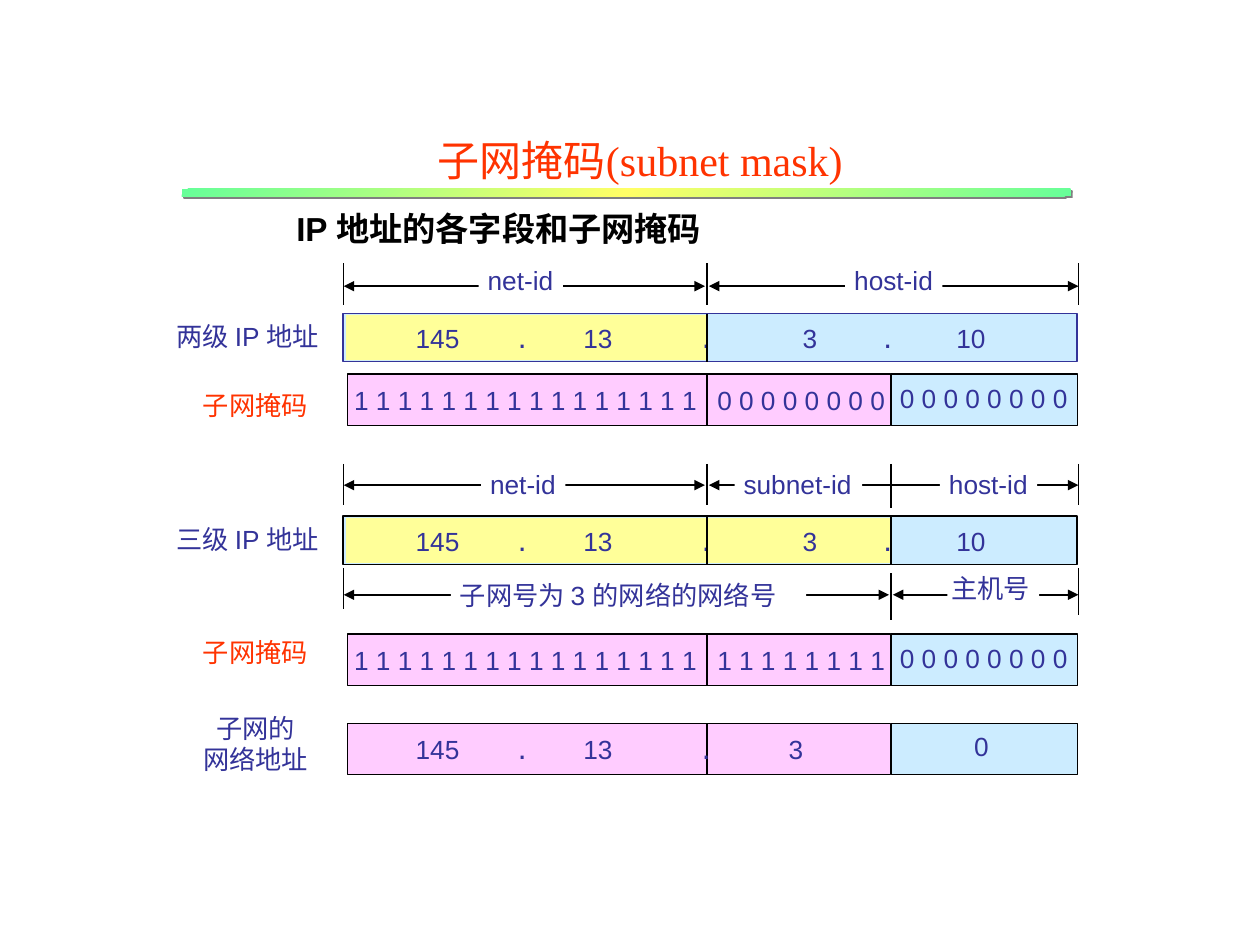
"""Build a slide on the fields of an IP address and its subnet mask."""
from copy import deepcopy
from typing import NamedTuple, Optional

from lxml.etree import SubElement as Sub
from pptx import Presentation
from pptx.dml.color import RGBColor
from pptx.enum.shapes import MSO_CONNECTOR as Conn, MSO_SHAPE as Kind
from pptx.enum.text import MSO_ANCHOR as Anchor, MSO_AUTO_SIZE as Auto, PP_ALIGN as Align
from pptx.oxml.ns import qn
from pptx.util import Cm, Pt

BLACK = RGBColor(0x00, 0x00, 0x00)
WHITE = RGBColor(0xFF, 0xFF, 0xFF)
NAVY = RGBColor(0x33, 0x33, 0x99)
RED = RGBColor(0xFF, 0x33, 0x00)
SKY = RGBColor(0xCC, 0xEC, 0xFF)
LEMON = RGBColor(0xFF, 0xFF, 0x99)
PINK = RGBColor(0xFF, 0xCC, 0xFF)
GREEN = RGBColor(0x66, 0xFF, 0x99)
YELLOW = RGBColor(0xFF, 0xFF, 0x66)

START, MID, SPLIT, END = 6.93, 14.25, 17.96, 21.74
ONES = " ".join("1" * 8)
ZEROS = " ".join("0" * 8)
NET = "145\t.\t13\t."
HOST = "3\t.\t10"
NET_TABS = (2.06, 3.38, 5.77, 7.52)
HOST_TABS = (1.63, 3.1)
MASK_TABS = (7.32,)


class Box(NamedTuple):
    left: float
    top: float
    width: float
    height: float


class Line(NamedTuple):
    x1: float
    y1: float
    x2: float
    y2: float
    weight: float = 0.75
    arrow: bool = False


class Note(NamedTuple):
    text: str
    box: Box
    fill: Optional[RGBColor] = None
    color: RGBColor = NAVY
    align: Align = Align.LEFT
    tabs: tuple = ()


def write(frame, text: str, *, size=15, font="Arial", color=NAVY, bold=False,
          align=Align.LEFT, tabs=()) -> None:
    """Fill a text frame; tabs and dots are set larger than the digits."""
    for row, words in enumerate(text.split("\n")):
        para = frame.add_paragraph() if row else frame.paragraphs[0]
        para.alignment = align
        if tabs:
            stops = Sub(para._p.get_or_add_pPr(), qn("a:tabLst"))
            for stop in tabs:
                Sub(stops, qn("a:tab"), pos=str(Cm(stop)), algn="l")
        for part in words.replace("\t", "|\t|").split("|"):
            run = para.add_run()
            run.text = part
            run.font.size = Pt(18 if part in ("\t", ".") else size)
            run.font.name = font
            run.font.bold = bold
            run.font.color.rgb = color


def block(shapes, box: Box, fill: RGBColor, line: Optional[RGBColor] = None,
          weight: float = 0.75):
    """Draw a plain rectangle."""
    rect = shapes.add_shape(Kind.RECTANGLE, *map(Cm, box))
    rect.shadow.inherit = False
    rect.fill.solid()
    rect.fill.fore_color.rgb = fill
    if line is None:
        rect.line.fill.background()
    else:
        rect.line.color.rgb = line
        rect.line.width = Pt(weight)
    return rect


def stroke(shapes, line: Line) -> None:
    """Draw a straight line, with arrowheads at both ends if asked."""
    conn = shapes.add_connector(Conn.STRAIGHT, *map(Cm, line[:4]))
    conn.line.color.rgb = BLACK
    conn.line.width = Pt(line.weight)
    if line.arrow:
        for end in ("a:headEnd", "a:tailEnd"):
            Sub(conn.line._get_or_add_ln(), qn(end), type="triangle")
    Sub(conn._element.spPr, qn("a:effectLst"))


def label(shapes, note: Note) -> None:
    """Place a small text box."""
    box = shapes.add_textbox(*map(Cm, note.box))
    frame = box.text_frame
    frame.word_wrap = bool(note.tabs)
    frame.auto_size = Auto.SHAPE_TO_FIT_TEXT
    frame.margin_left = frame.margin_right = Cm(0.18)
    frame.margin_top = frame.margin_bottom = Cm(0.1)
    if note.fill is not None:
        box.fill.solid()
        box.fill.fore_color.rgb = note.fill
    write(frame, note.text, color=note.color, align=note.align, tabs=note.tabs)


def banner(shapes) -> None:
    """Draw the shaded bar under the heading."""
    bar = block(shapes, Box(3.66, 3.81, 17.93, 0.15), GREEN)
    bar.fill.gradient()
    bar.fill.gradient_angle = 315
    stops = bar._element.spPr.find(qn("a:gradFill")).find(qn("a:gsLst"))
    stops.append(deepcopy(stops[0]))
    for stop, tint, pos in zip(bar.fill.gradient_stops, (GREEN, YELLOW, GREEN), (0, 0.5, 1)):
        stop.color.rgb = tint
        stop.position = pos
    glow = bar._element.spPr.find(qn("a:effectLst"))
    shade = Sub(glow, qn("a:outerShdw"), dist=str(Pt(1.4)), dir="2700000", algn="ctr")
    Sub(shade, qn("a:srgbClr"), val="808080")


def strip(shapes, top: float) -> None:
    """Draw a pink and blue row with its divider."""
    block(shapes, Box(SPLIT, top, 3.76, 1.04), SKY, BLACK)
    block(shapes, Box(7, top, SPLIT - 7, 1.04), PINK, BLACK)
    stroke(shapes, Line(MID, top, MID, top + 1.04, 1))


def main() -> None:
    """Build and save the slide."""
    deck = Presentation()
    deck.slide_width, deck.slide_height = Cm(25.4), Cm(19.05)
    slide = deck.slides.add_slide(deck.slide_layouts[5])
    shapes = slide.shapes

    title = shapes.title
    title.left, title.top, title.width, title.height = map(Cm, (4.19, 4.11, 11.73, 0.97))
    title.text_frame.auto_size = Auto.NONE
    title.text_frame.vertical_anchor = Anchor.MIDDLE
    write(title.text_frame, "IP 地址的各字段和子网掩码", size=19, color=BLACK, bold=True,
          align=Align.CENTER)

    head = shapes.add_textbox(*map(Cm, (5.05, 2.39, 15.72, 1.65))).text_frame
    head.word_wrap = True
    head.vertical_anchor = Anchor.MIDDLE
    write(head, "子网掩码(subnet mask)", size=24, font="Times New Roman", color=RED,
          align=Align.CENTER)
    banner(shapes)

    for top, edge, width in ((6.32, NAVY, 7.26), (10.41, BLACK, 10.97)):
        block(shapes, Box(6.91, top, 14.81, 0.97), SKY, edge, 1)
        block(shapes, Box(6.98, top + 0.03, width, 0.91), LEMON)
        label(shapes, Note(NET, Box(8.2, top - 0.02, 6.6, 0.94), tabs=NET_TABS))
        label(shapes, Note(HOST, Box(16, top - 0.02, 4.4, 0.94), tabs=HOST_TABS))
        stroke(shapes, Line(MID, top, MID, top + 0.97, 1))
    stroke(shapes, Line(SPLIT, 10.41, SPLIT, 11.38, 1))

    for top in (7.54, 12.78, 14.58):
        strip(shapes, top)
    for top, bits in ((7.54, ZEROS), (12.78, ONES)):
        text = " ".join((ONES, ONES)) + "\t" + bits
        label(shapes, Note(text, Box(6.96, top, 11.7, 0.94), tabs=MASK_TABS))
        label(shapes, Note(ZEROS, Box(SPLIT, top + 0.06, 3.76, 0.81)))
    label(shapes, Note(NET + "\t3", Box(8.2, 14.58, 8.6, 0.94), tabs=NET_TABS))
    label(shapes, Note("0", Box(19.46, 14.63, 0.69, 0.81)))

    for top in (5.31, 9.35):
        for x in (START, MID, END):
            stroke(shapes, Line(x, top, x, top + 0.83))
    for line in (
        Line(SPLIT, 9.35, SPLIT, 10.24),
        Line(START, 11.46, START, 12.27),
        Line(SPLIT, 11.56, SPLIT, 12.5, 1),
        Line(END, 11.46, END, 12.4, 1),
    ):
        stroke(shapes, line)
    for y, split in ((5.77, MID), (9.78, MID), (11.99, SPLIT)):
        stroke(shapes, Line(START, y, split - 0.04, y, 1, True))
        stroke(shapes, Line(split + 0.04, y, END, y, 1, True))

    block(shapes, Box(19.1, 11.76, 1.85, 0.58), WHITE)
    for note in (
        Note("net-id", Box(9.65, 5.23, 1.7, 0.81), WHITE),
        Note("host-id", Box(17.04, 5.23, 1.96, 0.81), WHITE),
        Note("net-id", Box(9.7, 9.35, 1.7, 0.81), WHITE),
        Note("subnet-id", Box(14.81, 9.35, 2.57, 0.81), WHITE),
        Note("host-id", Box(18.95, 9.35, 1.96, 0.81), WHITE),
        Note("子网号为 3 的网络的网络号", Box(9.09, 11.58, 7.16, 0.81), WHITE),
        Note("主机号", Box(19, 11.43, 1.96, 0.81)),
        Note("两级 IP 地址", Box(3.38, 6.35, 3.66, 0.81)),
        Note("三级 IP 地址", Box(3.38, 10.44, 3.66, 0.81)),
        Note("子网掩码", Box(3.91, 7.75, 2.49, 0.81), color=RED),
        Note("子网掩码", Box(3.91, 12.73, 2.49, 0.81), color=RED),
        Note("子网的\n网络地址", Box(3.91, 14.25, 2.49, 1.45), align=Align.CENTER),
    ):
        label(shapes, note)
    deck.save("out.pptx")


if __name__ == "__main__":
    main()
